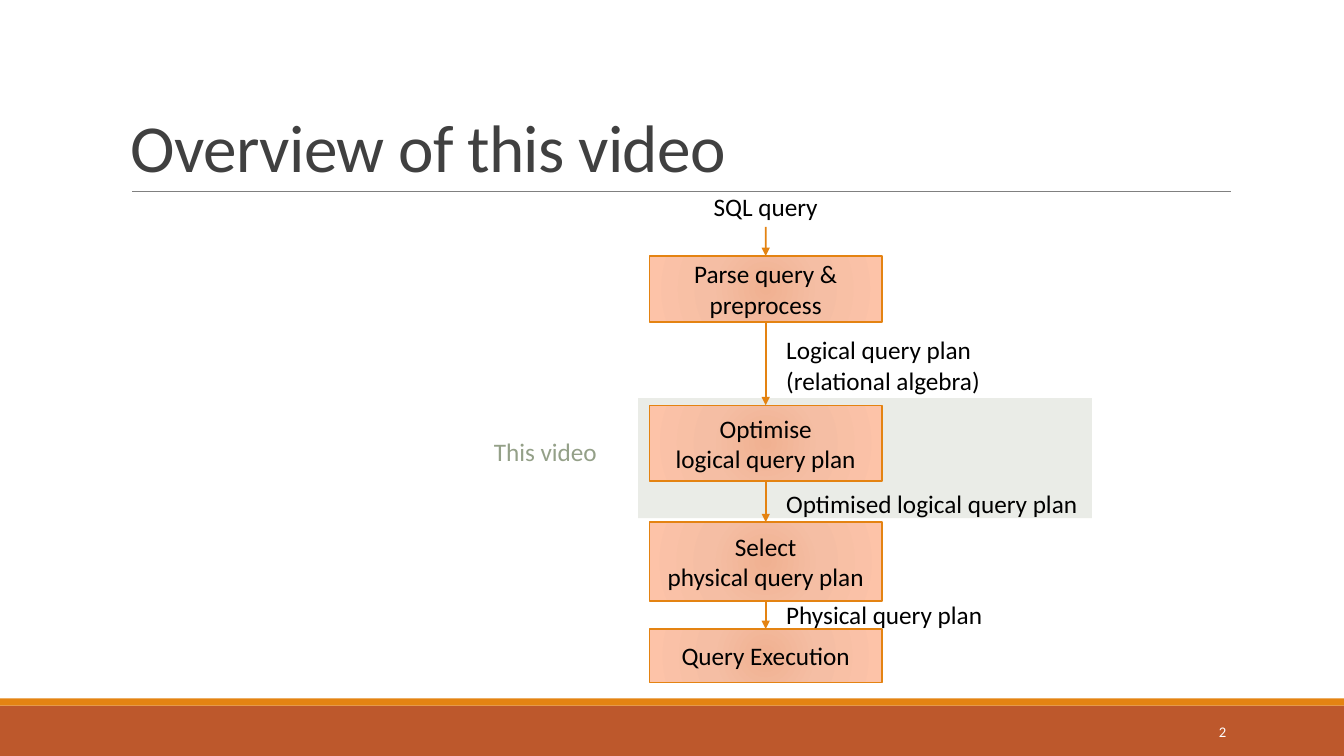
from dataclasses import dataclass

from lxml import etree
from pptx import Presentation
from pptx import util as u
from pptx.dml.color import RGBColor
from pptx.enum import shapes, text
from pptx.oxml import parse_xml
from pptx.oxml.ns import nsdecls, qn


@dataclass(frozen=True)
class Theme:
    font: str = "Calibri"
    title_size: float = 48
    body_size: float = 18
    number_size: float = 10.5
    title: str = "404040"
    body: str = "000000"
    rule: str = "808080"
    accent: str = "E48312"
    base: str = "BD582C"
    highlight: str = "EAECE7"
    highlight_text: str = "94A088"
    white: str = "FFFFFF"
    stage_stops: tuple = ((0, "F0B191"), (45, "F5BEA4"), (100, "FDC3A8"))


@dataclass(frozen=True)
class Box:
    left: int
    top: int
    width: int
    height: int

    def inner(self, left, top, width, height):
        """Return the inner box given in percent of this one."""
        return Box(int(self.left + self.width * left / 100),
                   int(self.top + self.height * top / 100),
                   int(self.width * width / 100),
                   int(self.height * height / 100))

    def frame(self):
        return self.left, self.top, self.width, self.height


THEME = Theme()
LEFT, CENTER, RIGHT = text.PP_ALIGN.LEFT, text.PP_ALIGN.CENTER, text.PP_ALIGN.RIGHT
TOP, MIDDLE, BOTTOM = (text.MSO_ANCHOR.TOP, text.MSO_ANCHOR.MIDDLE,
                       text.MSO_ANCHOR.BOTTOM)


def color(value):
    return RGBColor.from_string(value)


def write(shape, words, size=THEME.body_size, ink=THEME.body, align=LEFT,
          anchor=TOP, wrap=True):
    frame = shape.text_frame
    frame.word_wrap = wrap
    frame.vertical_anchor = anchor
    paragraph = frame.paragraphs[0]
    paragraph.text = words
    paragraph.alignment = align
    paragraph.font.name = THEME.font
    paragraph.font.size = u.Pt(size)
    paragraph.font.color.rgb = color(ink)
    return paragraph


def add_text(slide, box, words, **style):
    shape = slide.shapes.add_textbox(*box.frame())
    write(shape, words, **style)
    return shape


def add_label(slide, box, words, **style):
    shape = add_text(slide, box, words, wrap=False, **style)
    shape.text_frame.auto_size = text.MSO_AUTO_SIZE.SHAPE_TO_FIT_TEXT
    return shape


def add_panel(slide, box, fill):
    shape = slide.shapes.add_shape(shapes.MSO_SHAPE.RECTANGLE, *box.frame())
    shape.shadow.inherit = False
    shape.fill.solid()
    shape.fill.fore_color.rgb = color(fill)
    shape.line.fill.background()
    return shape


def add_line(slide, start, end, ink, width):
    line = slide.shapes.add_connector(shapes.MSO_CONNECTOR.STRAIGHT, *start, *end)
    line.line.color.rgb = color(ink)
    line.line.width = u.Pt(width)
    etree.SubElement(line._element.spPr, qn("a:effectLst"))
    return line


def add_arrow(slide, upper, lower):
    arrow = add_line(slide, (0, 0), (0, 0), THEME.accent, 1.25)
    arrow.begin_connect(upper, 2)
    arrow.end_connect(lower, 0)
    outline = arrow._element.spPr.find(qn("a:ln"))
    etree.SubElement(outline, qn("a:tailEnd"), type="triangle")


def add_stage(slide, box, words):
    shape = add_panel(slide, box, THEME.white)
    shape.line.color.rgb = color(THEME.accent)
    shape.line.width = u.Pt(1)
    # Radial gradient in place of the solid fill
    stops = "".join(f'<a:gs pos="{share * 1000}"><a:srgbClr val="{value}"/></a:gs>'
                    for share, value in THEME.stage_stops)
    gradient = parse_xml(
        f'<a:gradFill {nsdecls("a")} rotWithShape="1"><a:gsLst>{stops}</a:gsLst>'
        '<a:path path="circle"><a:fillToRect l="100000" t="100000" r="100000" '
        'b="100000"/></a:path></a:gradFill>')
    properties = shape._element.spPr
    properties.replace(properties.find(qn("a:solidFill")), gradient)
    write(shape, words, align=CENTER, anchor=MIDDLE)
    return shape


def build_footer(slide, box, number):
    add_panel(slide, box.inner(0, 12.28, 100, 87.72), THEME.base)
    add_panel(slide, box.inner(0, 0, 100, 12.28), THEME.accent)
    add_text(slide, box.inner(81.25, 22.8, 10.73, 70.18), number,
             size=THEME.number_size, ink=THEME.white, align=RIGHT, anchor=MIDDLE)


def build_header(slide, box, title):
    rule = box.inner(1, 100, 99.09, 0)
    add_line(slide, (rule.left, rule.top), (rule.left + rule.width, rule.top),
             THEME.rule, 0.5)
    shape = slide.shapes.add_textbox(*box.frame())
    paragraph = write(shape, title, size=THEME.title_size, ink=THEME.title,
                      anchor=BOTTOM)
    paragraph.line_spacing = 0.85
    # Tighter letter spacing
    paragraph._p.pPr.find(qn("a:defRPr")).set("spc", "-50")


def build_flow(slide, box):
    # Highlighted stretch of the flow
    add_panel(slide, box.inner(25.5, 42.68, 74.5, 24.19), THEME.highlight)
    add_label(slide, box.inner(0, 49.39, 20.53, 8.13), "This video",
              ink=THEME.highlight_text, align=CENTER)

    # Input and stages: top, height, words
    stages = [(14.02, 13.3, "Parse query &\vpreprocess"),
              (44.11, 15.24, "Optimise\vlogical query plan"),
              (67.68, 15.96, "Select\vphysical query plan"),
              (89.23, 10.77, "Query Execution")]
    chain = [add_label(slide, box.inner(36.09, 0, 20.7, 8.13), "SQL query",
                       align=CENTER)]
    chain += [add_stage(slide, box.inner(27.32, top, 38.25, height), words)
              for top, height, words in stages]
    for upper, lower in zip(chain, chain[1:]):
        add_arrow(slide, upper, lower)

    # Results beside the arrows: top, width, height, words
    results = [(28.86, 35.6, 14.43, "Logical query plan\v(relational algebra)"),
               (59.76, 51.82, 8.13, "Optimised logical query plan"),
               (82.32, 35.93, 8.13, "Physical query plan")]
    for top, width, height, words in results:
        add_label(slide, box.inner(48.18, top, width, height), words)


def main():
    presentation = Presentation()
    presentation.slide_width = u.Inches(13.33)
    presentation.slide_height = u.Inches(7.5)
    slide = presentation.slides.add_slide(presentation.slide_layouts[6])
    page = Box(0, 0, presentation.slide_width, presentation.slide_height)

    build_footer(slide, page.inner(0, 92.4, 100, 7.6), "2")
    build_header(slide, page.inner(9, 4.13, 82.5, 21.2), "Overview of this video")
    build_flow(slide, page.inner(35.93, 24.67, 45.31, 65.6))
    presentation.save("out.pptx")


if __name__ == "__main__":
    main()
